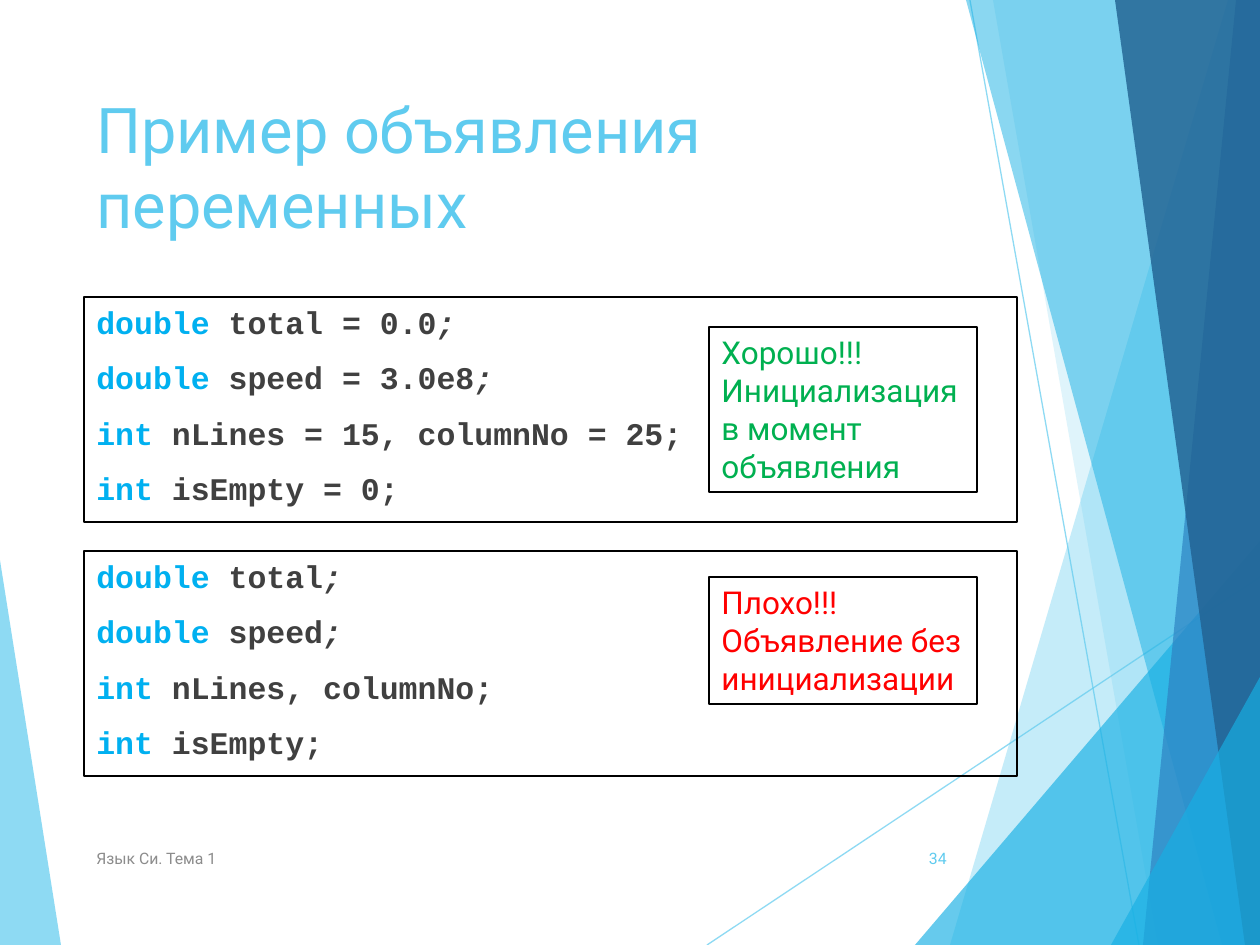
"""Build a slide that contrasts initialised and uninitialised C variables."""
from dataclasses import dataclass
from typing import Any

from lxml.etree import SubElement
from pptx import Presentation
from pptx.dml.color import RGBColor
from pptx.enum.shapes import MSO_CONNECTOR as Connector
from pptx.enum.text import MSO_ANCHOR as Anchor
from pptx.enum.text import MSO_AUTO_SIZE as AutoSize
from pptx.enum.text import PP_ALIGN as Align
from pptx.oxml.ns import qn
from pptx.util import Pt

SCALE = 914400 / 126
WIDTH, HEIGHT = 1260, 945


def emu(px):
    return round(px * SCALE)


def paint(color_format, color):
    color_format.rgb = RGBColor.from_string(color)


def fade(properties, percent):
    color = next(properties.iter(qn("a:srgbClr")))
    SubElement(color, qn("a:alpha"), val=str(percent * 1000))


@dataclass
class Deck:
    slide: Any
    sans: str = "Roboto"
    mono: str = "Courier New"
    accent: str = "5FCBEF"
    keyword: str = "00B0F0"
    code_ink: str = "404040"
    border: str = "000000"

    def facet(self, color, opacity, points):
        builder = self.slide.shapes.build_freeform(*points[0], scale=SCALE)
        builder.add_line_segments(points[1:], close=True)
        facet = builder.convert_to_shape()
        facet.shadow.inherit = False
        facet.fill.solid()
        paint(facet.fill.fore_color, color)
        facet.line.fill.background()
        fade(facet._element.spPr, opacity)

    def ray(self, *ends):
        ray = self.slide.shapes.add_connector(Connector.STRAIGHT, *map(emu, ends))
        ray.line.width = Pt(0.75)
        paint(ray.line.color, self.accent)
        properties = ray._element.spPr
        fade(properties, 70)
        SubElement(properties, qn("a:effectLst"))

    def frame(self, box, anchor=Anchor.TOP, bordered=False):
        area = self.slide.shapes.add_textbox(*map(emu, box))
        if bordered:
            paint(area.line.color, self.border)
            area.line.width = Pt(0.75)
        frame = area.text_frame
        frame.word_wrap = True
        frame.vertical_anchor = anchor
        return frame

    def prose(self, frame, lines, size, color, align=Align.LEFT):
        frame.text = "\n".join(lines)
        for paragraph in frame.paragraphs:
            paragraph.alignment = align
            paragraph.font.name = self.sans
            paragraph.font.size = Pt(size)
            paint(paragraph.font.color, color)

    def label(self, box, text, size, color, anchor=Anchor.MIDDLE, align=Align.LEFT):
        self.prose(self.frame(box, anchor), [text], size, color, align)

    def callout(self, box, lines, color):
        frame = self.frame(box, bordered=True)
        frame.auto_size = AutoSize.SHAPE_TO_FIT_TEXT
        self.prose(frame, lines, 18, color)

    def code(self, box, declarations):
        frame = self.frame(box, bordered=True)
        for index, (type_name, body) in enumerate(declarations):
            paragraph = frame.add_paragraph() if index else frame.paragraphs[0]
            paragraph.space_before = Pt(10 if index else 0)
            paragraph.font.name = self.mono
            paragraph.font.size = Pt(18)
            paragraph.font.bold = True
            parts = ((type_name, self.keyword), (f" {body}", self.code_ink),
                     (";", self.code_ink))
            for text, color in parts:
                run = paragraph.add_run()
                run.text = text
                paint(run.font.color, color)
            if type_name == "double":
                run.font.italic = True


def main():
    presentation = Presentation()
    presentation.slide_width, presentation.slide_height = emu(WIDTH), emu(HEIGHT)
    deck = Deck(presentation.slides.add_slide(presentation.slide_layouts[6]))

    top_right, bottom_right = (WIDTH, 0), (WIDTH, HEIGHT)
    deck.facet(deck.accent, 70, [(0, 560), (61, HEIGHT), (0, HEIGHT)])
    deck.ray(707, HEIGHT, WIDTH, 577)
    deck.ray(970, 0, 1139, HEIGHT)
    facets = (
        (deck.accent, 36, [(1228, 0), (950, HEIGHT), bottom_right, top_right]),
        (deck.accent, 20, [(993, 0), (1158, HEIGHT), bottom_right, top_right]),
        ("17B0E4", 66, [(915, HEIGHT), (WIDTH, 541), bottom_right]),
        ("17B0E4", 50, [(966, 0), (1222, HEIGHT), bottom_right, top_right]),
        ("2E83C3", 70, [(1236, 0), (1143, HEIGHT), bottom_right, top_right]),
        ("226292", 82, [(1115, 0), (1245, HEIGHT), bottom_right, top_right]),
        ("17B0E4", 66, [(1111, HEIGHT), (WIDTH, 677), bottom_right]),
    )
    for facet in facets:
        deck.facet(*facet)

    deck.label((84, 84, 874, 181), "Пример объявления переменных", 36,
               deck.accent, Anchor.TOP)
    deck.code((84, 297, 933, 225), (
        ("double", "total = 0.0"),
        ("double", "speed = 3.0e8"),
        ("int", "nLines = 15, columnNo = 25"),
        ("int", "isEmpty = 0"),
    ))
    deck.callout((709, 327, 268, 165),
                 ("Хорошо!!!", "Инициализация в момент объявления"), "00B050")
    deck.code((84, 551, 933, 225), (
        ("double", "total"),
        ("double", "speed"),
        ("int", "nLines, columnNo"),
        ("int", "isEmpty"),
    ))
    deck.callout((709, 577, 268, 127),
                 ("Плохо!!!", "Объявление без инициализации"), "FF0000")
    deck.label((84, 833, 638, 50), "Язык Си. Тема 1", 9, "8C8C8C")
    deck.label((888, 833, 71, 50), "34", 9, deck.accent, align=Align.RIGHT)

    presentation.save("out.pptx")


if __name__ == "__main__":
    main()
